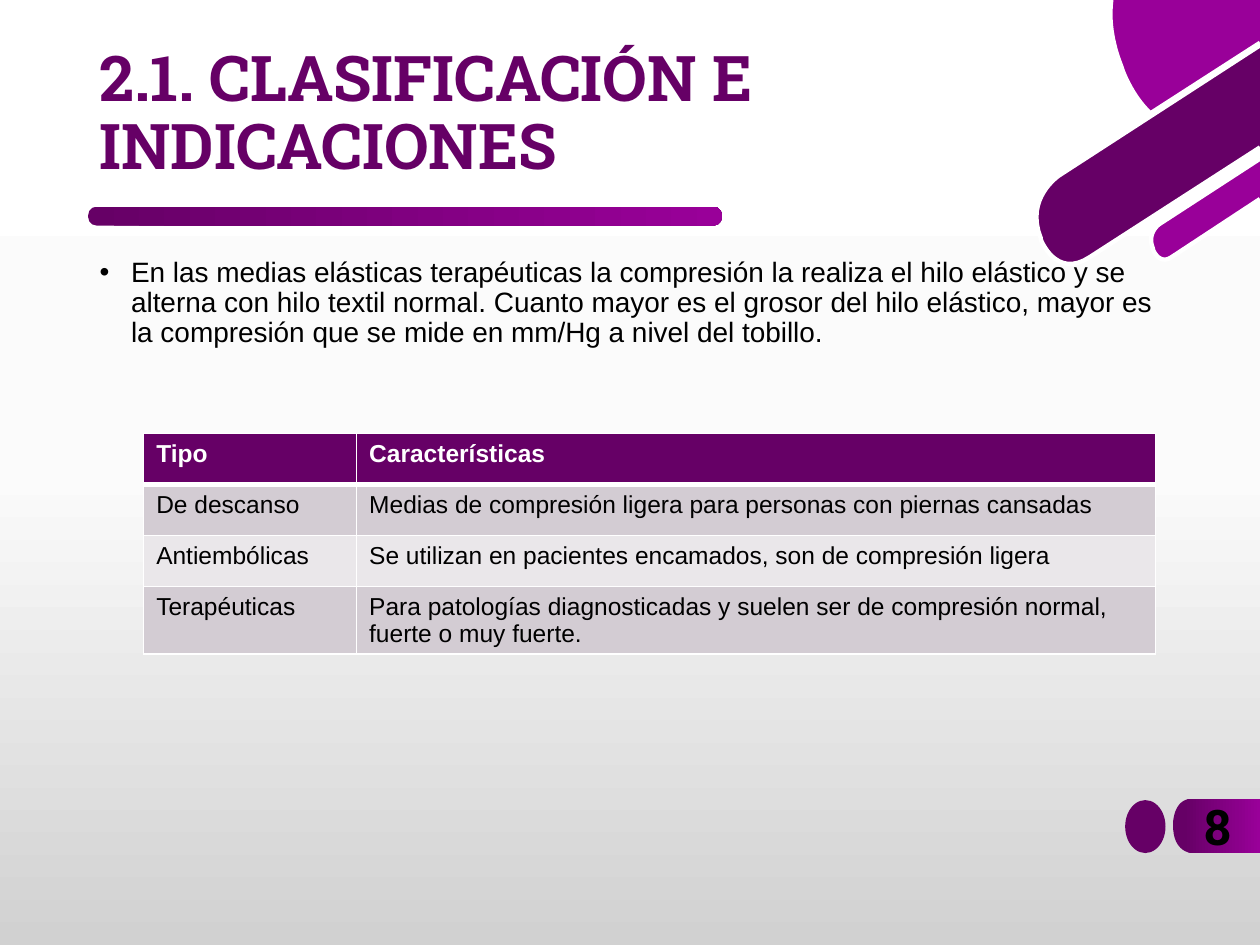
from copy import deepcopy
from lxml import etree
from pptx import Presentation
from pptx.dml.color import RGBColor
from pptx.enum.shapes import MSO_SHAPE
from pptx.enum.text import MSO_ANCHOR, MSO_AUTO_SIZE, PP_ALIGN
from pptx.oxml.ns import qn
from pptx.util import Inches, Pt

OVAL, ROUND = MSO_SHAPE.OVAL, MSO_SHAPE.ROUNDED_RECTANGLE
LEFT, CENTER = PP_ALIGN.LEFT, PP_ALIGN.CENTER
MIDDLE, TOP = MSO_ANCHOR.MIDDLE, MSO_ANCHOR.TOP
FIXED = MSO_AUTO_SIZE.NONE
COLS, ROWS = 100, 75
UNIT = Inches(0.1)
STEPS = 16


class Theme:
    dark = RGBColor(0x66, 0x00, 0x66)
    light = RGBColor(0x99, 0x00, 0x99)
    white = RGBColor(0xFF, 0xFF, 0xFF)
    black = RGBColor(0x00, 0x00, 0x00)
    bands = (RGBColor(0xD3, 0xCC, 0xD3), RGBColor(0xEA, 0xE7, 0xEA))
    back = ((0, white), (0.5, RGBColor(0xFB, 0xFB, 0xFB)),
            (1, RGBColor(0xD1, 0xD1, 0xD1)))
    title = {"name": "Roboto Slab", "size": Pt(36), "bold": True}
    body = {"name": "Arial", "size": Pt(16), "bold": False}
    cell = {"name": "Arial", "size": Pt(14)}
    page = {"name": "Roboto Slab", "size": Pt(28), "bold": True}


def grid(*vals):
    return [round(val * UNIT) for val in vals]


def apply(item, vals):
    for key, val in vals.items():
        setattr(item, key, val)


def place(item, box):
    apply(item, dict(zip(("left", "top", "width", "height"), grid(*box))))


def ink(font, vals, color):
    apply(font, vals)
    font.color.rgb = color


def blend(fill, first, last, start=0):
    fill.gradient()
    fill.gradient_angle = 0
    for stop, pos, color in zip(fill.gradient_stops, (start, 1), (first, last)):
        stop.position = pos
        stop.color.rgb = color


def paint(shape, color):
    shape.shadow.inherit = False
    shape.line.fill.background()
    shape.fill.solid()
    shape.fill.fore_color.rgb = color


def trace(path):
    pts = [path[0]]
    for part in path[1:]:
        if len(part) == 2:
            pts.append(part)
            continue
        knots = (pts[-1], part[:2], part[2:4], part[4:])
        for step in range(1, STEPS + 1):
            t = step / STEPS
            parts = ((1 - t) ** 3, 3 * t * (1 - t) ** 2, 3 * t * t * (1 - t), t ** 3)
            pts.append(tuple(sum(w * k[i] for w, k in zip(parts, knots))
                             for i in (0, 1)))
    return pts


def draw(slide, box, pts, close=True):
    spots = [grid(box[0] + x, box[1] + y) for x, y in pts]
    pen = slide.shapes.build_freeform(*spots[0], scale=1.0)
    pen.add_line_segments(spots[1:], close=close)
    return pen.convert_to_shape()


def backdrop(slide):
    fill = slide.background.fill
    fill.gradient()
    fill.gradient_angle = 270
    stops = slide._element.find(".//" + qn("a:gsLst"))
    stops.append(deepcopy(stops[-1]))
    for stop, (pos, color) in zip(fill.gradient_stops, Theme.back):
        stop.position = pos
        stop.color.rgb = color


def corner(slide, box):
    disc = [(18, 3.4), (9.3, 9), (7.8, 7.6, 7.1, 5.6, 7.1, 5.6), (7, 5.3),
            (6.2, 3.3, 6, 1.5, 6.2, 0), (18, 0)]
    wide = [(18, 3.6), (2.1, 13.9), (2.1, 13.9, -0.7, 15.7, 0.6, 18.9),
            (0.6, 19), (0.6, 19, 1.8, 22.2, 4.5, 20.4), (18, 11.7), (18, 3.6)]
    thin = [(18, 12.6), (10, 17.8), (10, 17.8, 9, 18.5, 9.5, 19.7),
            (9.5, 19.8), (9.5, 19.8, 10, 21.1, 11, 20.4), (18, 15.8), (18, 12.6)]
    for path, color in ((disc, Theme.light), (wide, Theme.dark), (thin, Theme.light)):
        pts = trace(path)
        paint(draw(slide, box, pts), color)
        rim = draw(slide, box, pts[:-1], False)
        rim.shadow.inherit = False
        rim.fill.background()
        rim.line.color.rgb = Theme.white
        rim.line.width = Pt(2.5)


def heading(slide, box, text):
    x, y, wide, high = box
    item = slide.shapes.title
    place(item, (x, y, wide, 10.3))
    frame = item.text_frame
    apply(frame, {"text": text, "vertical_anchor": MIDDLE,
                  "auto_size": FIXED, "word_wrap": True})
    para = frame.paragraphs[0]
    apply(para, {"alignment": LEFT, "line_spacing": 0.9})
    font = para.runs[0].font
    apply(font, Theme.title)
    blend(font.fill, Theme.dark, Theme.light)
    rule = slide.shapes.add_shape(ROUND, *grid(x + 0.1, y + high - 1.5, 50.3, 1.5))
    rule.adjustments[0] = 0.45
    paint(rule, Theme.dark)
    blend(rule.fill, Theme.dark, Theme.light)


def content(slide, box, text):
    item = slide.placeholders[1]
    place(item, box)
    frame = item.text_frame
    apply(frame, {"text": text, "vertical_anchor": TOP,
                  "auto_size": FIXED, "word_wrap": True})
    para = frame.paragraphs[0]
    apply(para, {"alignment": LEFT, "line_spacing": 0.9, "space_before": Pt(10)})
    props = para._p.get_or_add_pPr()
    props.set("marL", str(Inches(0.25)))
    props.set("indent", str(-Inches(0.25)))
    etree.SubElement(props, qn("a:buFont"), typeface="Arial")
    etree.SubElement(props, qn("a:buChar"), char="•")
    ink(para.runs[0].font, Theme.body, Theme.black)


def border(cell, sides):
    props = cell._tc.get_or_add_tcPr()
    for spot, (side, width) in enumerate(sides.items()):
        line = etree.Element(qn("a:" + side), w=str(Pt(width)))
        fill = etree.SubElement(line, qn("a:solidFill"))
        etree.SubElement(fill, qn("a:srgbClr"), val=str(Theme.white))
        props.insert(spot, line)


def chart(slide, box, rows, widths, high):
    table = slide.shapes.add_table(len(rows), len(widths), *grid(*box)).table
    for col, width in zip(table.columns, grid(*widths)):
        col.width = width
    for r, row in enumerate(rows):
        table.rows[r].height = grid(high)[0]
        head = r == 0
        for c, text in enumerate(row):
            cell = table.cell(r, c)
            cell.text = text
            cell.fill.solid()
            cell.fill.fore_color.rgb = Theme.dark if head else Theme.bands[(r - 1) % 2]
            border(cell, {"lnL": 1, "lnR": 1, "lnT": 3 if r == 1 else 1,
                          "lnB": 3 if head else 1})
            font = cell.text_frame.paragraphs[0].runs[0].font
            ink(font, Theme.cell, Theme.white if head else Theme.black)
            font.bold = head


def folio(slide, box, text):
    x, y, wide, high = box
    dot = slide.shapes.add_shape(OVAL, *grid(x, y + 0.8, 3.2, 4.2))
    paint(dot, Theme.dark)
    path = [(wide, 5), (5.3, 5), (5.3, 5, 3.8, 5, 3.8, 2.8), (3.8, 2.7),
            (3.8, 2.7, 3.8, 0.7, 5.3, 0.7), (wide, 0.7)]
    tab = draw(slide, box, trace(path))
    paint(tab, Theme.dark)
    blend(tab.fill, Theme.dark, Theme.light, 0.12)
    frame = slide.shapes.add_textbox(*grid(x + 4, y, wide - 4, high)).text_frame
    apply(frame, {"text": text, "word_wrap": True})
    para = frame.paragraphs[0]
    para.alignment = CENTER
    ink(para.runs[0].font, Theme.page, Theme.black)


def main():
    deck = Presentation()
    deck.slide_width, deck.slide_height = grid(COLS, ROWS)
    slide = deck.slides.add_slide(deck.slide_layouts[1])
    backdrop(slide)
    corner(slide, (82, 0, 18, 21.2))
    heading(slide, (6.9, 4, 77.8, 13.9), "2.1. CLASIFICACIÓN E INDICACIONES")
    content(slide, (6.9, 20, 86.2, 51.4),
            "En las medias elásticas terapéuticas la compresión la realiza el hilo "
            "elástico y se alterna con hilo textil normal. Cuanto mayor es el grosor "
            "del hilo elástico, mayor es la compresión que se mide en mm/Hg a nivel "
            "del tobillo.")
    rows = [("Tipo", "Características"),
            ("De descanso",
             "Medias de compresión ligera para personas con piernas cansadas"),
            ("Antiembólicas",
             "Se utilizan en pacientes encamados, son de compresión ligera"),
            ("Terapéuticas",
             "Para patologías diagnosticadas y suelen ser de compresión normal, "
             "fuerte o muy fuerte.")]
    chart(slide, (11.4, 34.4, 80.3, 17.8), rows, (16.9, 63.4), 4.05)
    folio(slide, (89.3, 62.7, 10.7, 5.7), "8")
    deck.save("out.pptx")


if __name__ == "__main__":
    main()
